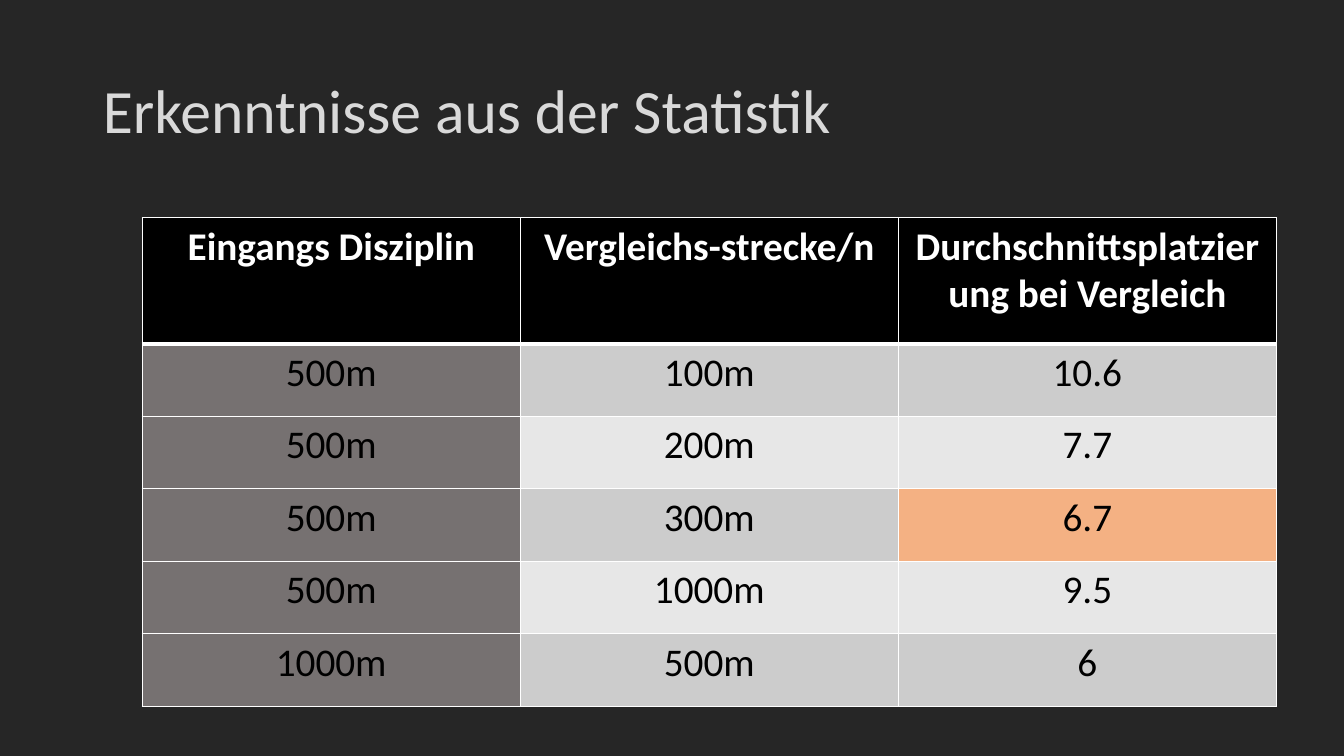
from lxml.etree import SubElement
from pptx import Presentation
from pptx.dml.color import RGBColor
from pptx.enum.text import MSO_ANCHOR, PP_ALIGN
from pptx.oxml.ns import qn
from pptx.util import Inches, Pt

TITLE = "Erkenntnisse aus der Statistik"
HEADER = ("Eingangs Disziplin", "Vergleichs-strecke/n", "Durchschnittsplatzierung bei Vergleich")
RESULTS = [
    ("500m", "100m", "10.6"),
    ("500m", "200m", "7.7"),
    ("500m", "300m", "6.7"),
    ("500m", "1000m", "9.5"),
    ("1000m", "500m", "6"),
]
BEST_CELL = (3, 2)

BACKGROUND = RGBColor(0x26, 0x26, 0x26)
TITLE_GRAY = RGBColor(0xD9, 0xD9, 0xD9)
BLACK = RGBColor(0x00, 0x00, 0x00)
WHITE = RGBColor(0xFF, 0xFF, 0xFF)
DISCIPLINE_GRAY = RGBColor(0x76, 0x71, 0x71)
ODD_GRAY = RGBColor(0xCC, 0xCC, 0xCC)
EVEN_GRAY = RGBColor(0xE7, 0xE7, 0xE7)
HIGHLIGHT = RGBColor(0xF4, 0xB1, 0x83)

COLUMN_WIDTH = 3.75
HEADER_HEIGHT = 1.25
ROW_HEIGHT = 0.72


def write_text(frame, text, size=28, color=BLACK, bold=False, align=PP_ALIGN.CENTER, spacing=None):
    para = frame.paragraphs[0]
    para.alignment = align
    para.line_spacing = spacing
    span = para.add_run()
    span.text = text
    span.font.name = "Calibri"
    span.font.size = Pt(size)
    span.font.bold = bold
    span.font.color.rgb = color


def draw_borders(cell, row):
    properties = cell._tc.get_or_add_tcPr()
    widths = {
        "a:lnL": 1,
        "a:lnR": 1,
        "a:lnT": 3 if row == 1 else 1,
        "a:lnB": 3 if row == 0 else 1,
    }
    for side, width in widths.items():
        line = SubElement(properties, qn(side), w=str(Pt(width)))
        fill = SubElement(line, qn("a:solidFill"))
        SubElement(fill, qn("a:srgbClr"), val=str(WHITE))


def cell_color(row, column):
    if row == 0:
        return BLACK
    if column == 0:
        return DISCIPLINE_GRAY
    if (row, column) == BEST_CELL:
        return HIGHLIGHT
    return ODD_GRAY if row % 2 else EVEN_GRAY


def add_title(page):
    title = page.shapes.title
    title.left, title.top = Inches(0.92), Inches(0.4)
    title.width, title.height = Inches(11.5), Inches(1.45)
    title.text_frame.vertical_anchor = MSO_ANCHOR.MIDDLE
    title.text_frame.word_wrap = True
    write_text(title.text_frame, TITLE, size=44, color=TITLE_GRAY, align=PP_ALIGN.LEFT, spacing=0.9)


def add_results(page):
    rows = [HEADER, *RESULTS]
    width = COLUMN_WIDTH * len(HEADER)
    height = HEADER_HEIGHT + ROW_HEIGHT * len(RESULTS)
    table = page.shapes.add_table(
        len(rows), len(HEADER), Inches(1.41), Inches(2.16), Inches(width), Inches(height)
    ).table
    for column in table.columns:
        column.width = Inches(COLUMN_WIDTH)
    for row, texts in enumerate(rows):
        is_header = row == 0
        table.rows[row].height = Inches(HEADER_HEIGHT if is_header else ROW_HEIGHT)
        for column, text in enumerate(texts):
            cell = table.cell(row, column)
            draw_borders(cell, row)
            cell.fill.solid()
            cell.fill.fore_color.rgb = cell_color(row, column)
            write_text(cell.text_frame, text, color=WHITE if is_header else BLACK, bold=is_header)


def main():
    deck = Presentation()
    deck.slide_width, deck.slide_height = Inches(13.33), Inches(7.5)
    page = deck.slides.add_slide(deck.slide_layouts[5])
    page.background.fill.solid()
    page.background.fill.fore_color.rgb = BACKGROUND
    add_title(page)
    add_results(page)
    deck.save("out.pptx")


if __name__ == "__main__":
    main()
